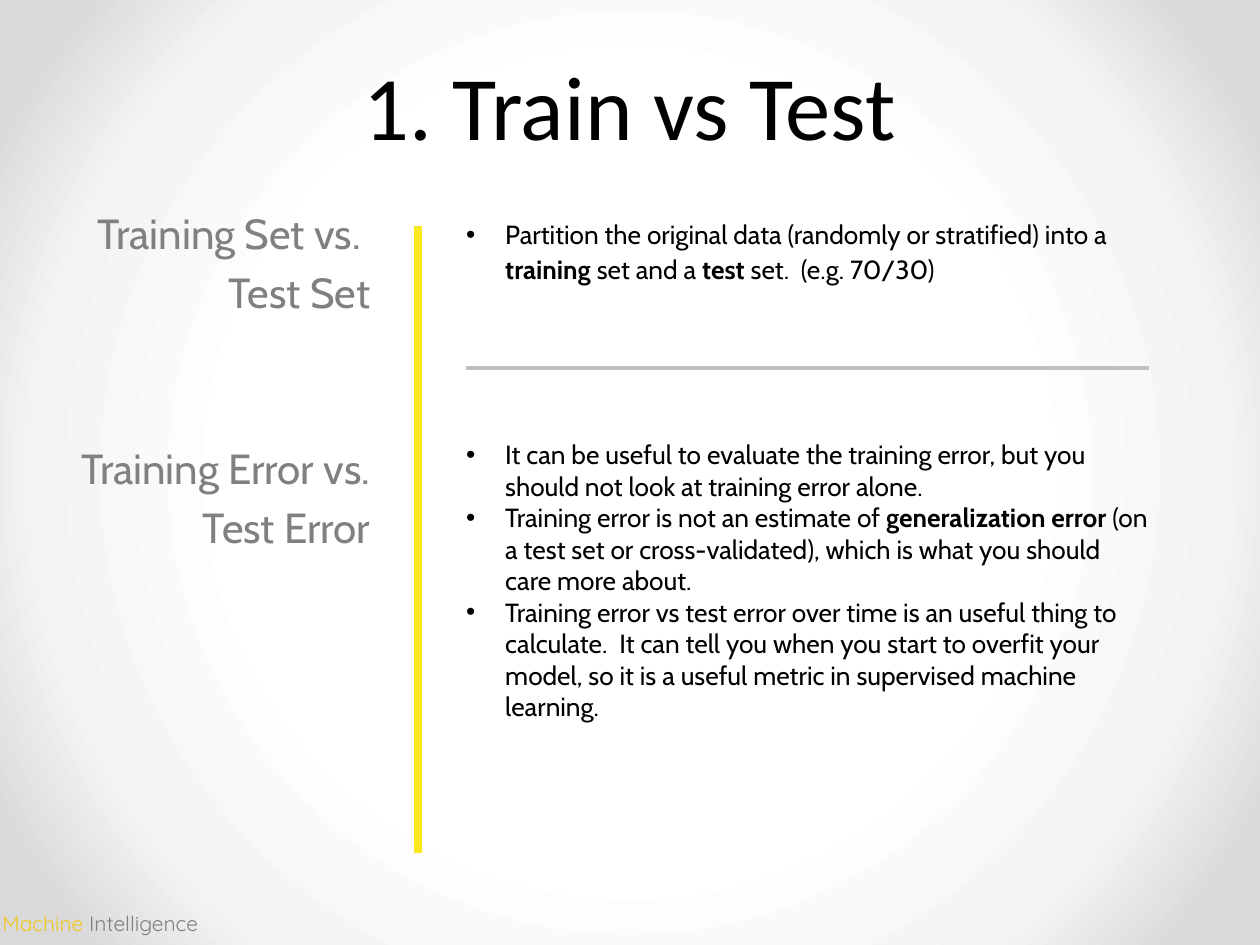
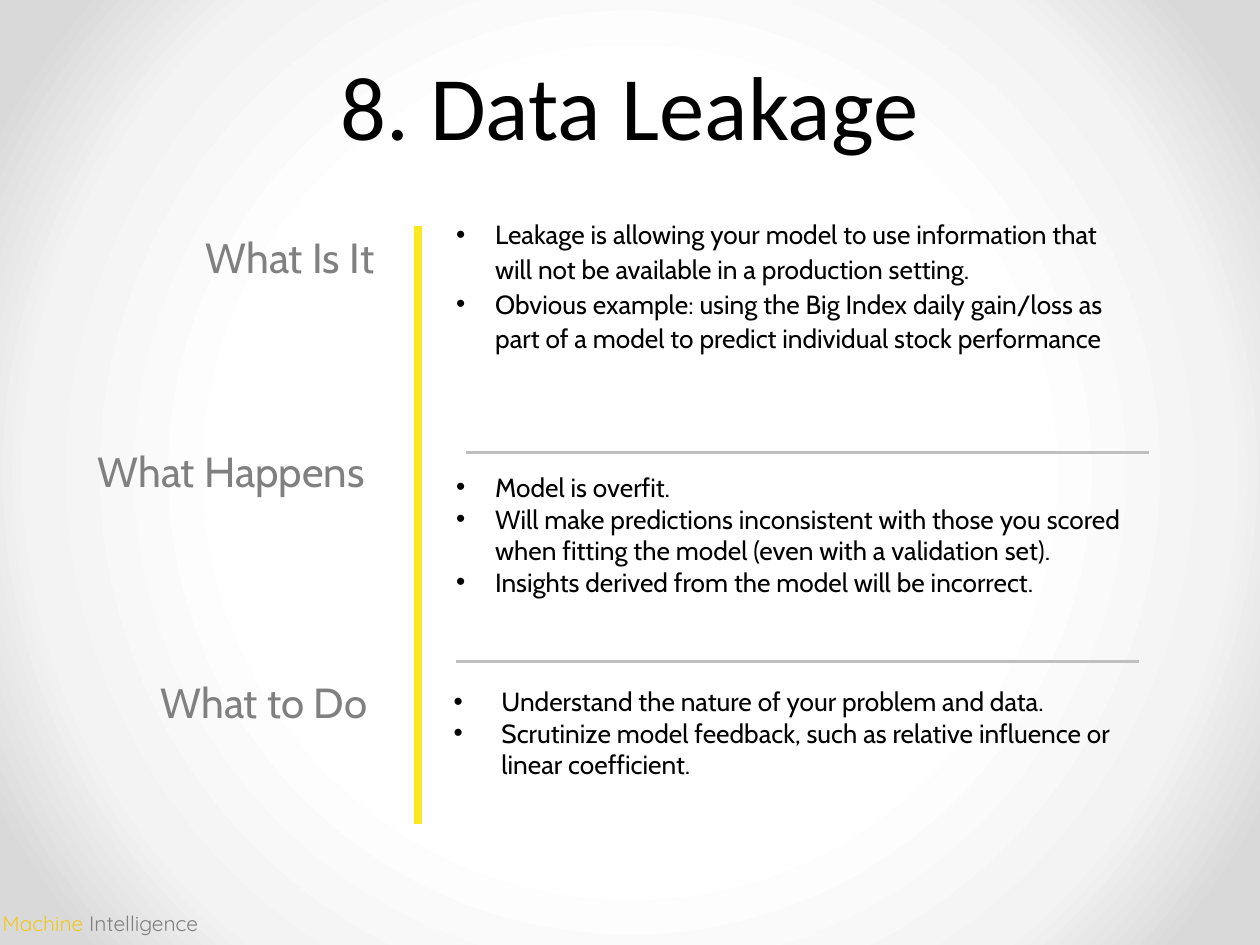
from lxml import etree
from pptx import Presentation
from pptx import util as u
from pptx.dml.color import RGBColor
from pptx.enum import shapes, text
from pptx.oxml import ns

BLACK = RGBColor(0x00, 0x00, 0x00)
GRAY = RGBColor(0x80, 0x80, 0x80)
TAGLINE_GRAY = RGBColor(0x7F, 0x7F, 0x7F)
RULE_GRAY = RGBColor(0xBF, 0xBF, 0xBF)
YELLOW = RGBColor(0xFB, 0xE9, 0x1F)
GOLD = RGBColor(0xEF, 0xC7, 0x1F)
BACKDROP_STOPS = (
    (50, RGBColor(0xFF, 0xFF, 0xFF)),
    (76, RGBColor(0xF3, 0xF3, 0xF3)),
    (92, RGBColor(0xD9, 0xD9, 0xD9)),
)

TITLE_FONT, BODY_FONT, FOOTER_FONT = "Calibri", "Cabin", "Quicksand"
COLUMN_WIDTH = 5.42
SPINE_LEFT, SPINE_TOP = 3.32, 1.79
FOOTER_PIECES = (("Machine ", GOLD), ("Intelligence", TAGLINE_GRAY))


class Deck:
    """Holds the shared style and the slide being built."""

    def __init__(self):
        self.presentation = Presentation()
        self.presentation.slide_width = u.Inches(10)
        self.presentation.slide_height = u.Inches(7.5)
        self.slide = None
        self.set_backdrop()

    def set_backdrop(self):
        """Give the master a circular gradient that every slide inherits."""
        master = self.presentation.slide_master
        master.background.fill.solid()
        solid = master.element.xpath("p:cSld/p:bg/p:bgPr/a:solidFill")[0]
        gradient = etree.Element(ns.qn("a:gradFill"), rotWithShape="1")
        stops = etree.SubElement(gradient, ns.qn("a:gsLst"))
        for position, color in BACKDROP_STOPS:
            stop = etree.SubElement(stops, ns.qn("a:gs"), pos=str(position * 1000))
            etree.SubElement(stop, ns.qn("a:srgbClr"), val=str(color))
        circle = etree.SubElement(gradient, ns.qn("a:path"), path="circle")
        sides = dict.fromkeys("ltrb", "50000")
        etree.SubElement(circle, ns.qn("a:fillToRect"), sides)
        solid.getparent().replace(solid, gradient)

    def add_slide(self, title, spine_bottom):
        self.slide = self.presentation.slides.add_slide(self.presentation.slide_layouts[6])
        self.add_footer()
        self.add_title(title)
        self.add_line(SPINE_LEFT, SPINE_TOP, SPINE_LEFT, spine_bottom, YELLOW, 4.5)

    def add_frame(self, left, top, width, height, anchor=text.MSO_ANCHOR.TOP, inset=0):
        box = self.slide.shapes.add_textbox(*map(u.Inches, (left, top, width, height)))
        frame = box.text_frame
        frame.word_wrap = True
        frame.vertical_anchor = anchor
        frame.margin_left = frame.margin_right = u.Inches(inset)
        frame.margin_top = frame.margin_bottom = u.Inches(inset)
        return frame

    def add_paragraphs(self, frame, lines, font_name, size, color):
        """Yield one styled paragraph per line; **marks** make bold runs."""
        for index, line in enumerate(lines):
            paragraph = frame.add_paragraph() if index else frame.paragraphs[0]
            paragraph.font.name = font_name
            paragraph.font.size = u.Pt(size)
            paragraph.font.color.rgb = color
            for part, words in enumerate(line.split("**")):
                run = paragraph.add_run()
                run.text = words
                if part % 2:
                    run.font.bold = True
            yield paragraph

    def add_title(self, title):
        frame = self.add_frame(0.5, 0.38, 9, 0.88, text.MSO_ANCHOR.BOTTOM)
        for paragraph in self.add_paragraphs(frame, [title], TITLE_FONT, 51.8, BLACK):
            paragraph.alignment = text.PP_ALIGN.CENTER
            paragraph.line_spacing = u.Pt(55)

    def add_label(self, left, top, *lines, inset=0.0):
        frame = self.add_frame(left, top, 2.93, 1.1, inset=inset)
        for paragraph in self.add_paragraphs(frame, lines, BODY_FONT, 24, GRAY):
            paragraph.alignment = text.PP_ALIGN.RIGHT
            paragraph.space_before = u.Pt(5)

    def add_bullets(self, left, top, height, *lines, spacing=1.0, indent=0.31):
        frame = self.add_frame(left, top, COLUMN_WIDTH, height)
        frame.auto_size = text.MSO_AUTO_SIZE.SHAPE_TO_FIT_TEXT
        for paragraph in self.add_paragraphs(frame, lines, BODY_FONT, 15, BLACK):
            paragraph.line_spacing = spacing
            properties = paragraph._p.get_or_add_pPr()
            properties.set("marL", str(u.Inches(indent)))
            properties.set("indent", str(-u.Inches(indent)))
            bullet_font = etree.Element(ns.qn("a:buFont"), typeface="Arial")
            bullet = etree.Element(ns.qn("a:buChar"), char="•")
            defaults = properties.find(ns.qn("a:defRPr"))
            defaults.addprevious(bullet_font)
            defaults.addprevious(bullet)

    def add_line(self, left, top, right, bottom, color, width):
        line = self.slide.shapes.add_connector(
            shapes.MSO_CONNECTOR.STRAIGHT, *map(u.Inches, (left, top, right, bottom)))
        line.line.color.rgb = color
        line.line.width = u.Pt(width)
        etree.SubElement(line._element.spPr, ns.qn("a:effectLst"))

    def add_divider(self, left, top):
        self.add_line(left, top, left + COLUMN_WIDTH, top, RULE_GRAY, 2)

    def add_footer(self):
        frame = self.add_frame(0.02, 7.2, 7.94, 0.25, text.MSO_ANCHOR.MIDDLE)
        paragraph = frame.paragraphs[0]
        paragraph.font.name = FOOTER_FONT
        paragraph.font.size = u.Pt(12)
        for words, color in FOOTER_PIECES:
            run = paragraph.add_run()
            run.text = words
            run.font.color.rgb = color


def build_train_vs_test(deck):
    deck.add_slide("1. Train vs Test", spine_bottom=6.77)
    deck.add_label(0.01, 1.65, "Training Set vs. ", "Test Set")
    deck.add_bullets(
        3.7, 1.71, 0.63,
        "Partition the original data (randomly or stratified) into a "
        "**training** set and a **test** set.  (e.g. 70/30)",
        spacing=1.1)
    deck.add_divider(3.7, 2.92)
    deck.add_label(0.01, 3.51, "Training Error vs.", "Test Error")
    deck.add_bullets(
        3.7, 3.48, 2.35,
        "It can be useful to evaluate the training error, but you should not look at "
        "training error alone.",
        "Training error is not an estimate of **generalization error** (on a test set or "
        "cross-validated), which is what you should care more about.",
        "Training error vs test error over time is an useful thing to calculate.  It can "
        "tell you when you start to overfit your model, so it is a useful metric in "
        "supervised machine learning.")


def build_data_leakage(deck):
    deck.add_slide("8. Data Leakage", spine_bottom=6.54)
    deck.add_label(0.09, 1.79, "What Is It", inset=0.05)
    deck.add_bullets(
        3.62, 1.71, 1.38,
        "Leakage is allowing your model to use information that will not be available in "
        "a production setting.",
        "Obvious example: using the Big Index daily gain/loss as part of a model to "
        "predict individual stock performance",
        spacing=1.1)
    deck.add_divider(3.7, 3.59)
    deck.add_label(0.09, 3.49, "What Happens ", inset=0.05)
    deck.add_bullets(
        3.62, 3.74, 1.35,
        "Model is overfit.",
        "Will make predictions inconsistent with those you scored when fitting the model "
        "(even with a validation set).",
        "Insights derived from the model will be incorrect.")
    deck.add_divider(3.62, 5.25)
    deck.add_label(0.11, 5.32, "What to Do ", inset=0.05)
    deck.add_bullets(
        3.6, 5.44, 0.85,
        "Understand the nature of your problem and data.",
        "Scrutinize model feedback, such as relative influence or linear coefficient.",
        indent=0.38)


def main():
    deck = Deck()
    build_train_vs_test(deck)
    build_data_leakage(deck)
    deck.presentation.save("out.pptx")


if __name__ == "__main__":
    main()
